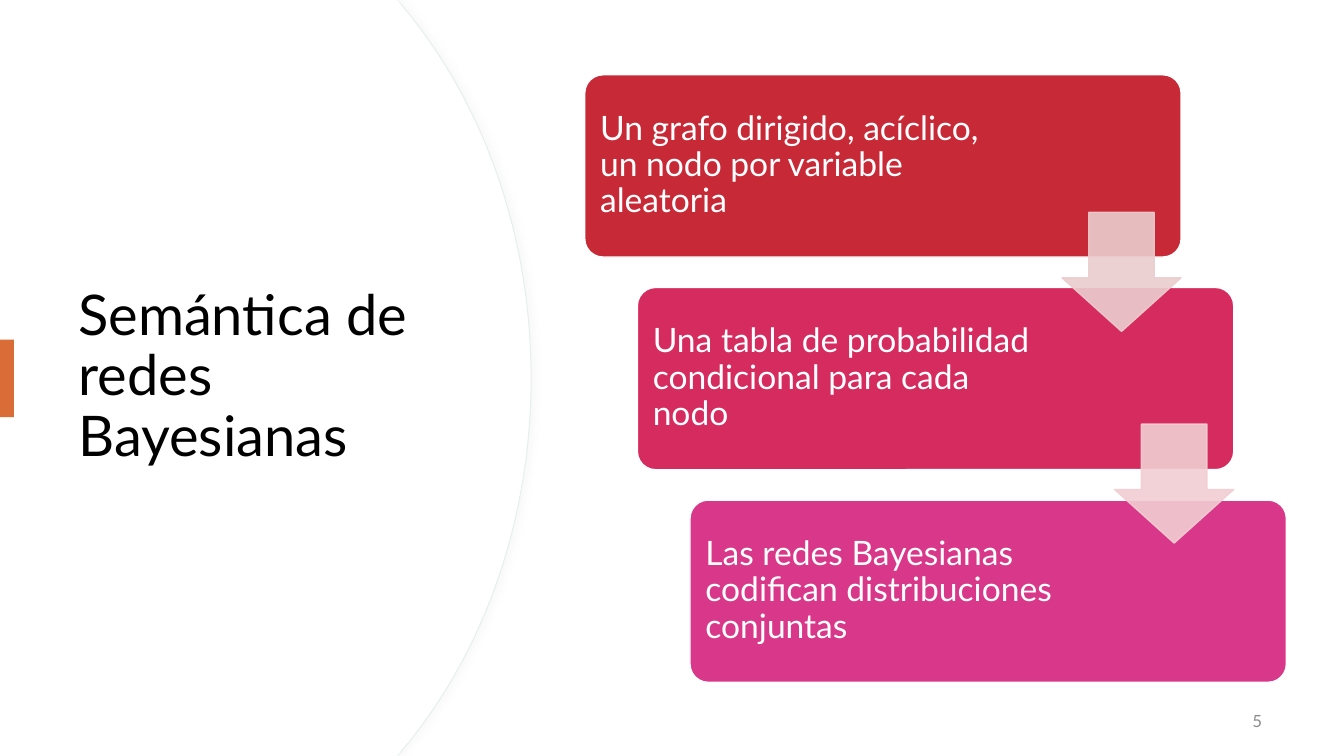
from lxml import etree
from pptx import Presentation
from pptx import util as u
from pptx.dml.color import RGBColor
from pptx.enum import shapes, text
from pptx.oxml import ns

WHITE = RGBColor(0xFF, 0xFF, 0xFF)
BLACK = RGBColor(0x00, 0x00, 0x00)
GRAY = RGBColor(0x8C, 0x8C, 0x8C)
EDGE = RGBColor(0xE5, 0xF0, 0xEB)
SHADOW = RGBColor(0xD9, 0xD9, 0xD9)
ORANGE = RGBColor(0xD9, 0x6C, 0x37)
RED = RGBColor(0xC8, 0x29, 0x37)
CRIMSON = RGBColor(0xD5, 0x2B, 0x5E)
PINK = RGBColor(0xD9, 0x37, 0x89)
PALE_RED = RGBColor(0xEB, 0xCD, 0xCE)
PALE_PINK = RGBColor(0xF1, 0xCE, 0xD2)

WIDTH, HEIGHT = 960, 540
STEP_X, STEP_Y = 37.6, 151.9
ARROW_STEP_Y = 151.2
ROUND = shapes.MSO_SHAPE.ROUNDED_RECTANGLE
ARROW = shapes.MSO_SHAPE.DOWN_ARROW
RECT = shapes.MSO_SHAPE.RECTANGLE

STEPS = [
    ("Un grafo dirigido, acíclico, un nodo por variable aleatoria", RED, 285),
    ("Una tabla de probabilidad condicional para cada nodo", CRIMSON, 296),
    ("Las redes Bayesianas codifican distribuciones conjuntas", PINK, 296),
]


class Deck:
    font = "Lato"

    def __init__(self, slide):
        self.s = slide

    def paint(self, sp, fill, line=None, width=1.0, alpha=None):
        sp.shadow.inherit = False
        sp.fill.solid()
        sp.fill.fore_color.rgb = fill
        if line is None:
            sp.line.fill.background()
        else:
            sp.line.color.rgb = line
            sp.line.width = u.Pt(width)
        if alpha is not None:
            for color in sp._element.spPr.iter(ns.qn("a:srgbClr")):
                etree.SubElement(color, ns.qn("a:alpha"), val=str(alpha * 1000))
        return sp

    def shape(self, kind, x, y, w, h, fill, adjust=(), **style):
        sp = self.s.shapes.add_shape(kind, u.Pt(x), u.Pt(y), u.Pt(w), u.Pt(h))
        for i, value in enumerate(adjust):
            sp.adjustments[i] = value
        return self.paint(sp, fill, **style)

    def panel(self, shift, **style):
        upper = [(283.7, 0), (288.7 - shift, 5.8), (344.9 - shift, 73.4),
                 (379.4 - shift, 167), (379.4 - shift, 270)]
        lower = [(x, HEIGHT - y) for x, y in reversed(upper[:-1])]
        points = [(u.Pt(x), u.Pt(y)) for x, y in [*upper, *lower, (0, HEIGHT)]]
        fb = self.s.shapes.build_freeform(0, 0)
        fb.add_line_segments(points, close=True)
        sp = fb.convert_to_shape()
        lines = list(sp._element.spPr.iter(ns.qn("a:lnTo")))
        for first in (2, 5):
            self.bend(lines[first:first + 3])
        return self.paint(sp, WHITE, **style)

    def bend(self, lines):
        curve = etree.Element(ns.qn("a:cubicBezTo"))
        lines[0].addprevious(curve)
        for line in lines:
            curve.append(line[0])
            line.getparent().remove(line)

    def cast_shadow(self, sp):
        effects = sp._element.spPr.find(ns.qn("a:effectLst"))
        outer = etree.SubElement(effects, ns.qn("a:outerShdw"), blurRad=str(u.Pt(4)),
                                 dist=str(u.Pt(3)), dir="0", algn="l", rotWithShape="0")
        color = etree.SubElement(outer, ns.qn("a:srgbClr"), val=str(SHADOW))
        etree.SubElement(color, ns.qn("a:alpha"), val="15000")

    def text(self, words, x, y, w, h, size=24, color=WHITE,
             align=text.PP_ALIGN.LEFT, spacing=0.9, inset=3.6):
        sp = self.s.shapes.add_textbox(u.Pt(x), u.Pt(y), u.Pt(w), u.Pt(h))
        tf = sp.text_frame
        tf.word_wrap = True
        tf.vertical_anchor = text.MSO_ANCHOR.MIDDLE
        tf.margin_left = tf.margin_right = u.Pt(7.2)
        tf.margin_top = tf.margin_bottom = u.Pt(inset)
        p = tf.paragraphs[0]
        p.alignment = align
        p.line_spacing = spacing
        r = p.add_run()
        r.text = words
        r.font.name = self.font
        r.font.size = u.Pt(size)
        r.font.color.rgb = color


def main():
    prs = Presentation()
    prs.slide_width, prs.slide_height = u.Pt(WIDTH), u.Pt(HEIGHT)
    deck = Deck(prs.slides.add_slide(prs.slide_layouts[6]))

    deck.shape(RECT, 0, 0, WIDTH, HEIGHT, WHITE)
    deck.cast_shadow(deck.panel(0, line=EDGE, width=0.75))
    deck.panel(0.7)
    deck.text("Semántica de redes Bayesianas", 49, 91.4, 283.7, 356.4, size=40, color=BLACK)
    deck.shape(RECT, 0, 242.6, 10, 55.4, ORANGE)
    deck.text("5", 692.6, 500.4, 216, 28.8, size=12, color=GRAY,
              align=text.PP_ALIGN.RIGHT, spacing=1.0)

    for i, (words, color, width) in enumerate(STEPS):
        x, y = 417.7 + i * STEP_X, 53.4 + i * STEP_Y
        deck.shape(ROUND, x, y, 426, 130.2, color, adjust=[0.1], line=WHITE)
        deck.text(words, x + 3.9, y + 3.6, width, 122.6, inset=7.2)
    for i, color in enumerate([PALE_RED, PALE_PINK]):
        deck.shape(ARROW, 758.6 + i * STEP_X, 151.7 + i * ARROW_STEP_Y, 85, 85, color,
                   adjust=[0.55, 0.45], line=color, alpha=90)

    prs.save("out.pptx")


if __name__ == "__main__":
    main()
